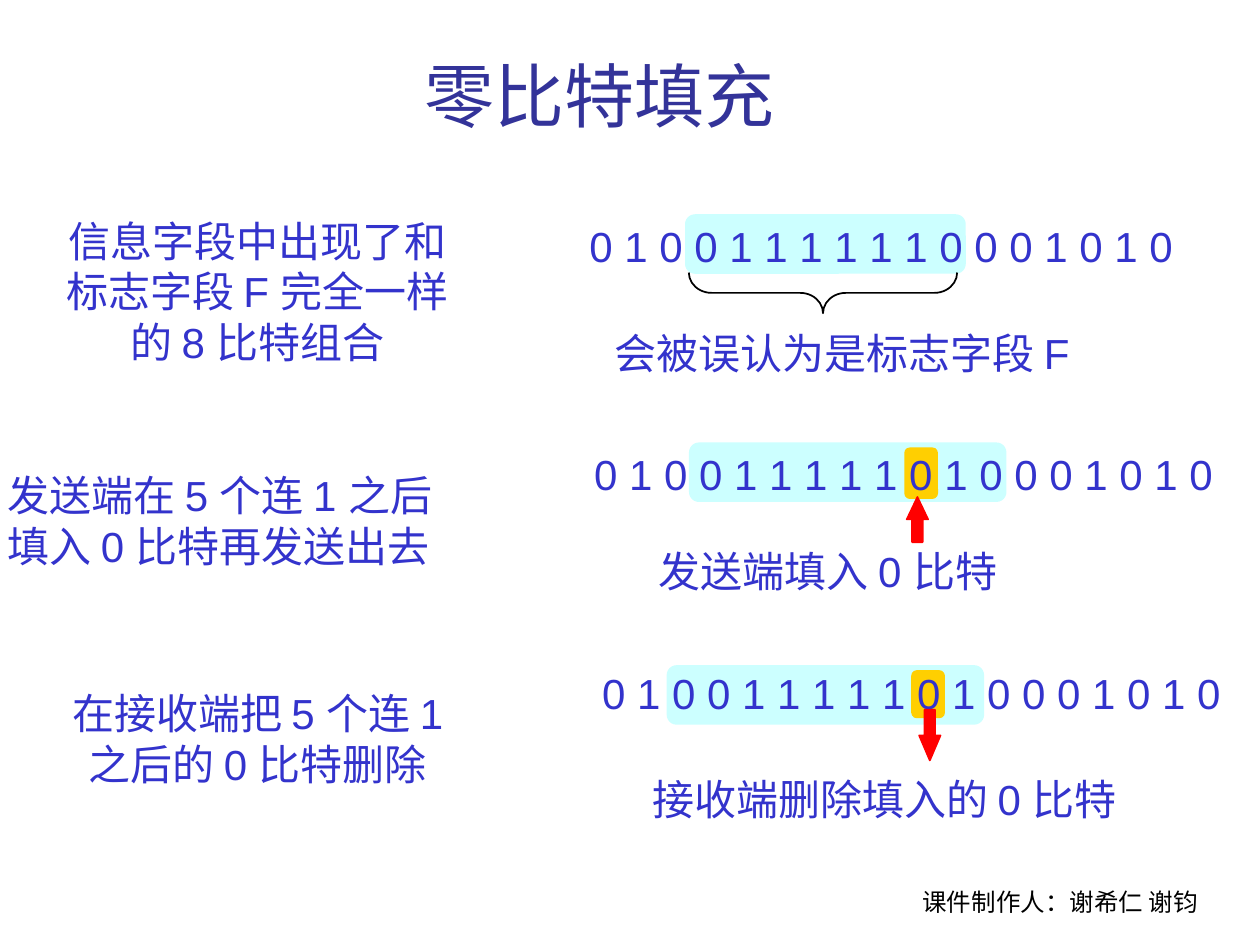
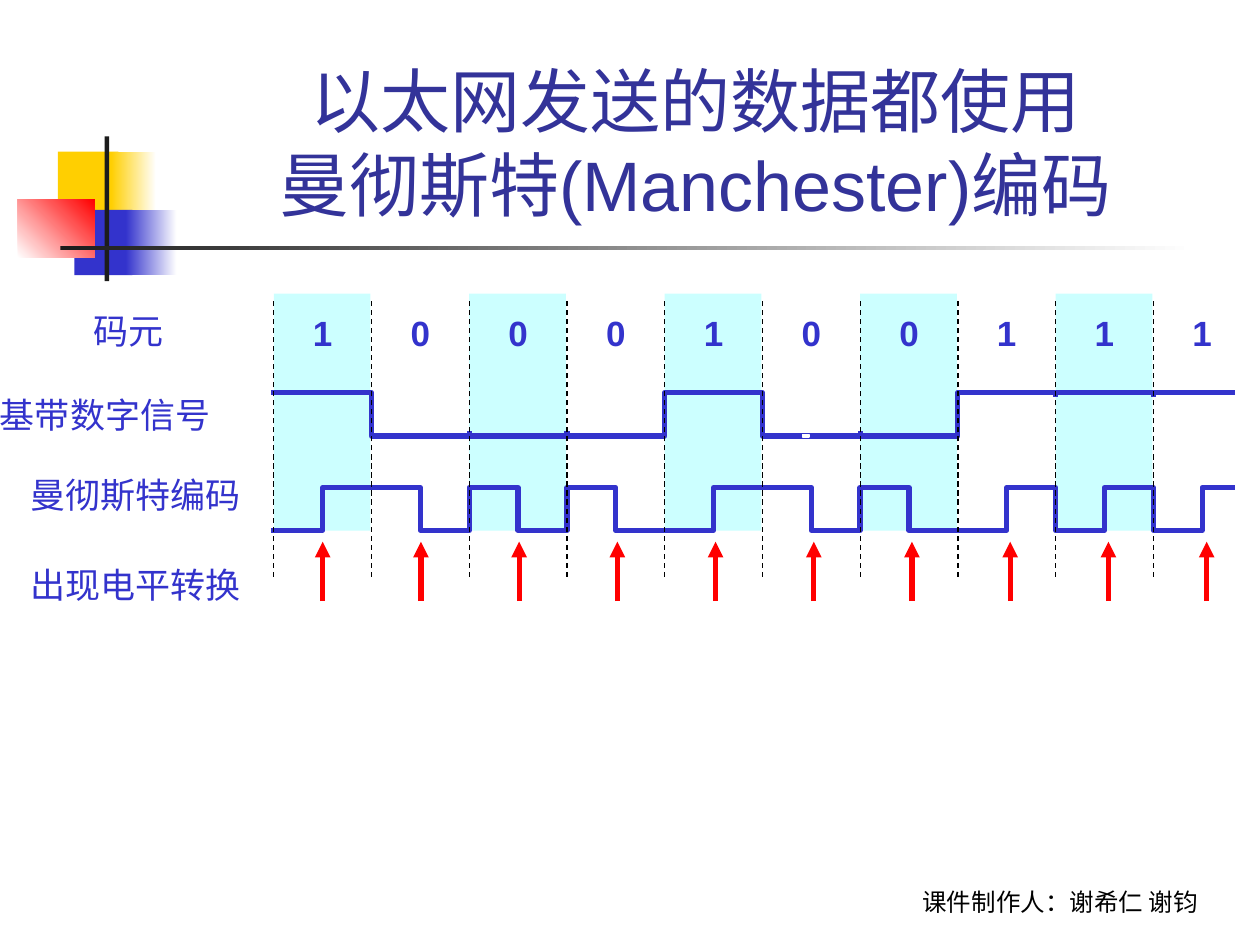
from dataclasses import dataclass

from lxml import etree
from pptx import Presentation
from pptx import util as u
from pptx.dml.color import RGBColor
from pptx.enum import dml, shapes, text
from pptx.oxml.ns import qn


@dataclass(frozen=True)
class Theme:
    """Colours, fonts and type sizes shared by the slides."""

    ink: str = "3333CC"
    title: str = "333399"
    highlight: str = "CCFFFF"
    gold: str = "FFCF01"
    red: str = "FF0000"
    rule: str = "1C1C1C"
    black: str = "000000"
    white: str = "FFFFFF"
    font: str = "Arial"
    alternate_font: str = "Roboto"
    title_size: int = 40
    body_size: int = 24
    label_size: int = 20
    footer_size: int = 14


@dataclass(frozen=True)
class Box:
    """A rectangle in centimetres."""

    left: float
    top: float
    width: float
    height: float

    def inner(self, dx, dy, width, height):
        """Return a box placed relative to this one."""
        return Box(self.left + dx, self.top + dy, width, height)

    def lengths(self):
        """Return left, top, width and height as lengths."""
        return [u.Cm(value) for value in (self.left, self.top, self.width, self.height)]


THEME = Theme()
ALIGN = text.PP_ALIGN
ANCHOR = text.MSO_ANCHOR
SHAPE = shapes.MSO_SHAPE
FOOTER_BOX = Box(17.35, 17.32, 8.05, 1.27)


def rgb(colour):
    """Turn a hexadecimal string into a colour."""
    return RGBColor.from_string(colour)


def write_lines(shape, lines, size, colour=THEME.ink, font=THEME.font, align=ALIGN.LEFT,
                anchor=ANCHOR.TOP, wrap=False, bold=False):
    """Fill a shape with one paragraph per line and format them."""
    frame = shape.text_frame
    frame.word_wrap = wrap
    frame.auto_size = text.MSO_AUTO_SIZE.NONE
    frame.vertical_anchor = anchor
    for index, line in enumerate(lines):
        paragraph = frame.add_paragraph() if index else frame.paragraphs[0]
        paragraph.text = line
        paragraph.alignment = align
        paragraph.font.name = font
        paragraph.font.size = u.Pt(size)
        paragraph.font.bold = bold
        paragraph.font.color.rgb = rgb(colour)


def add_text(slide, box, lines, size=THEME.body_size, **style):
    """Add a text box."""
    write_lines(slide.shapes.add_textbox(*box.lengths()), lines, size, **style)


def add_preset(slide, preset, box, fill=None, line=None, width=1, adjustments=()):
    """Add a flat preset shape."""
    shape = slide.shapes.add_shape(preset, *box.lengths())
    shape.shadow.inherit = False
    for index, value in enumerate(adjustments):
        shape.adjustments[index] = value
    if fill:
        shape.fill.solid()
        shape.fill.fore_color.rgb = rgb(fill)
    else:
        shape.fill.background()
    if line:
        shape.line.color.rgb = rgb(line)
        shape.line.width = u.Pt(width)
    else:
        shape.line.fill.background()
    return shape


def add_gradient(slide, box, start, end, angle=0):
    """Add a rectangle that fades from one colour to another."""
    fill = add_preset(slide, SHAPE.RECTANGLE, box).fill
    fill.gradient()
    fill.gradient_angle = angle
    for stop, colour, position in zip(fill.gradient_stops, (start, end), (0, 1)):
        stop.color.rgb = rgb(colour)
        stop.position = position


def add_line(slide, x, start, end, colour, width, dash=None, arrow=False):
    """Add a vertical line, dashed or with an arrowhead if wanted."""
    connector = slide.shapes.add_connector(
        shapes.MSO_CONNECTOR.STRAIGHT, u.Cm(x), u.Cm(start), u.Cm(x), u.Cm(end))
    connector.line.color.rgb = rgb(colour)
    connector.line.width = u.Pt(width)
    if dash:
        connector.line.dash_style = dash
    properties = connector._element.spPr
    if arrow:
        etree.SubElement(properties.find(qn("a:ln")), qn("a:tailEnd"), type="triangle")
    etree.SubElement(properties, qn("a:effectLst"))


def start_slide(presentation, box, title, **style):
    """Add a slide with its title and the shared footer."""
    slide = presentation.slides.add_slide(presentation.slide_layouts[5])
    placeholder = slide.shapes.title
    placeholder.left, placeholder.top, placeholder.width, placeholder.height = box.lengths()
    write_lines(placeholder, title, THEME.title_size, THEME.title, align=ALIGN.CENTER,
                wrap=True, **style)
    add_text(slide, FOOTER_BOX, ["课件制作人：谢希仁 谢钧"], THEME.footer_size,
             colour=THEME.black, font=THEME.alternate_font, align=ALIGN.CENTER,
             anchor=ANCHOR.BOTTOM, wrap=True)
    return slide


def draw_bits(slide, box, bits, highlight, stuffed=None):
    """Draw a bit string over its highlight and its stuffed bit."""
    add_preset(slide, SHAPE.ROUNDED_RECTANGLE, box.inner(*highlight), THEME.highlight)
    if stuffed:
        add_preset(slide, SHAPE.ROUNDED_RECTANGLE, box.inner(*stuffed), THEME.gold)
    add_text(slide, box, [" ".join(bits)])


def build_stuffing_slide(presentation):
    """Build the zero-bit stuffing slide."""
    slide = start_slide(presentation, Box(7.58, 0.94, 9, 1.96), ["零比特填充"],
                        font=THEME.alternate_font)
    stuffed_bits = "010011111010001010"
    draw_bits(slide, Box(11.63, 4.32, 12.27, 1.27), "01001111110001010", (2.18, 0, 5.66, 1.2))
    draw_bits(slide, Box(11.73, 8.92, 12.98, 1.27), stuffed_bits,
              (2.16, 0, 6.4, 1.2), (6.5, 0.1, 0.68, 1.04))
    draw_bits(slide, Box(11.89, 13.34, 12.98, 1.27), stuffed_bits,
              (1.55, 0.07, 6.4, 1.2), (6.48, 0.17, 0.68, 0.97))

    add_text(slide, Box(0.76, 4.22, 8.86, 3.3),
             ["信息字段中出现了和", "标志字段 F 完全一样", "的 8 比特组合"], align=ALIGN.CENTER)
    add_text(slide, Box(-0.1, 9.35, 10.34, 2.29),
             ["发送端在 5 个连 1 之后", "填入 0 比特再发送出去"])
    add_text(slide, Box(0.66, 13.74, 9.07, 2.29),
             ["在接收端把 5 个连 1", "之后的 0 比特删除"], align=ALIGN.CENTER)

    add_text(slide, Box(12.14, 6.48, 10.34, 1.27), ["会被误认为是标志字段 F"])
    add_text(slide, Box(13.03, 10.87, 7.98, 1.27), ["发送端填入 0 比特"])
    add_text(slide, Box(12.9, 15.47, 10.52, 1.27), ["接收端删除填入的 0 比特"])

    brace = add_preset(slide, SHAPE.RIGHT_BRACE, Box(16.18, 3.2, 0.82, 5.41),
                       line=THEME.black, adjustments=(0.56, 0.5))
    brace.rotation = 90
    add_preset(slide, SHAPE.UP_ARROW, Box(18.28, 10.02, 0.43, 0.91),
               THEME.red, THEME.red, adjustments=(0.5, 1.05))
    add_preset(slide, SHAPE.DOWN_ARROW, Box(18.53, 14.31, 0.43, 1.02),
               THEME.red, THEME.red, adjustments=(0.5, 1.17))


def draw_ornament(slide, box):
    """Draw the coloured squares and the fading rule beside the title."""
    add_preset(slide, SHAPE.RECTANGLE, box.inner(0.81, 0.31, 1.22, 1.32), THEME.gold)
    add_gradient(slide, box.inner(1.88, 0.31, 0.91, 1.32), THEME.gold, THEME.white)
    add_preset(slide, SHAPE.RECTANGLE, box.inner(1.14, 1.48, 1.17, 1.32), THEME.ink)
    add_gradient(slide, box.inner(2.18, 1.48, 1.02, 1.32), THEME.ink, THEME.white)
    add_gradient(slide, box.inner(0, 1.27, 1.55, 1.17), THEME.white, THEME.red, 45)
    add_preset(slide, SHAPE.RECTANGLE, box.inner(1.75, 0, 0.09, 2.92), THEME.rule)
    add_gradient(slide, box.inner(0.86, 2.2, 22.86, 0.09), THEME.rule, THEME.white)


def draw_wave(slide, box, levels, step):
    """Draw a square wave that is high for each true level."""
    heights = [box.top if level else box.top + box.height for level in levels]
    points = [(box.left - 0.06, heights[0])]
    for index in range(1, len(levels)):
        if levels[index] != levels[index - 1]:
            x = box.left + index * step
            points += [(x, heights[index - 1]), (x, heights[index])]
    points.append((box.left + box.width, heights[-1]))
    points = [(u.Cm(x), u.Cm(y)) for x, y in points]
    builder = slide.shapes.build_freeform(*points[0])
    builder.add_line_segments(points[1:], close=False)
    wave = builder.convert_to_shape()
    wave.shadow.inherit = False
    wave.fill.background()
    wave.line.color.rgb = rgb(THEME.ink)
    wave.line.width = u.Pt(3)


def draw_signals(slide, box, bits, cell=1.97, arrow_pitch=1.98):
    """Draw the bits, both signals, the cell borders and the transitions."""
    for index in range(0, len(bits), 2):
        add_preset(slide, SHAPE.RECTANGLE, box.inner(index * cell, 0, 1.95, 4.78),
                   THEME.highlight)
    for index, bit in enumerate(bits):
        add_text(slide, box.inner(index * cell, 0.23, cell, 1.09), [str(bit)],
                 THEME.label_size, align=ALIGN.CENTER, wrap=True, bold=True)

    draw_wave(slide, box.inner(0, 2, box.width, 0.87), bits, cell)
    for index in range(1, len(bits)):
        if bits[index] == bits[index - 1]:
            tick = box.top + (2.08 if bits[index] else 2.87)
            add_line(slide, box.left + index * cell, tick, tick - 0.1, THEME.ink, 3)
    halves = [half for bit in bits for half in (1 - bit, bit)]
    draw_wave(slide, box.inner(0, 3.91, box.width, 0.86), halves, cell / 2)
    add_preset(slide, SHAPE.RECTANGLE, box.inner(10.66, 2.84, 0.13, 0.05),
               THEME.white, THEME.white, 0.75)

    for index in range(len(bits)):
        add_line(slide, box.left + index * cell, box.top + 5.71, box.top + 0.13,
                 THEME.black, 0.75, dash=dml.MSO_LINE.DASH)
    for index in range(len(bits)):
        add_line(slide, box.left + cell / 2 + index * arrow_pitch, box.top + 6.2,
                 box.top + 5, THEME.red, 3, arrow=True)


def build_manchester_slide(presentation):
    """Build the Manchester coding slide."""
    slide = start_slide(presentation, Box(3.2, 0.61, 21.64, 4.06),
                        ["以太网发送的数据都使用", "曼彻斯特(Manchester)编码"],
                        anchor=ANCHOR.BOTTOM)
    draw_ornament(slide, Box(0.36, 2.75, 23.72, 2.92))
    labels = [("码元", 1.63, 6.12), ("基带数字信号", -0.25, 7.8),
              ("曼彻斯特编码", 0.36, 9.42), ("出现电平转换", 0.36, 11.23)]
    for label, left, top in labels:
        add_text(slide, Box(left, top, 0.71 * len(label) + 0.51, 1.09), [label],
                 THEME.label_size)
    draw_signals(slide, Box(5.52, 5.92, 19.38, 6.2), [1, 0, 0, 0, 1, 0, 0, 1, 1, 1])


def main():
    """Build and save the presentation."""
    presentation = Presentation()
    presentation.slide_width = u.Cm(25.4)
    presentation.slide_height = u.Cm(19.05)
    build_stuffing_slide(presentation)
    build_manchester_slide(presentation)
    presentation.save("out.pptx")


if __name__ == "__main__":
    main()
